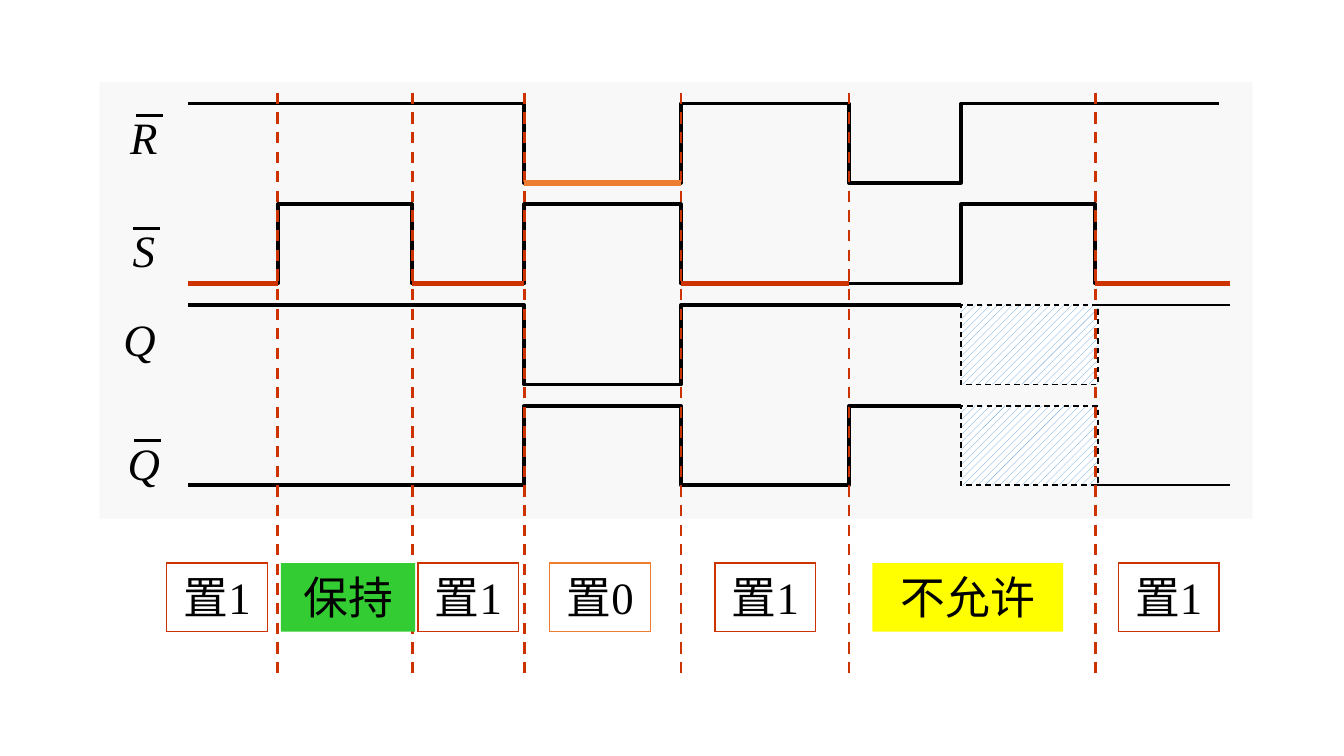
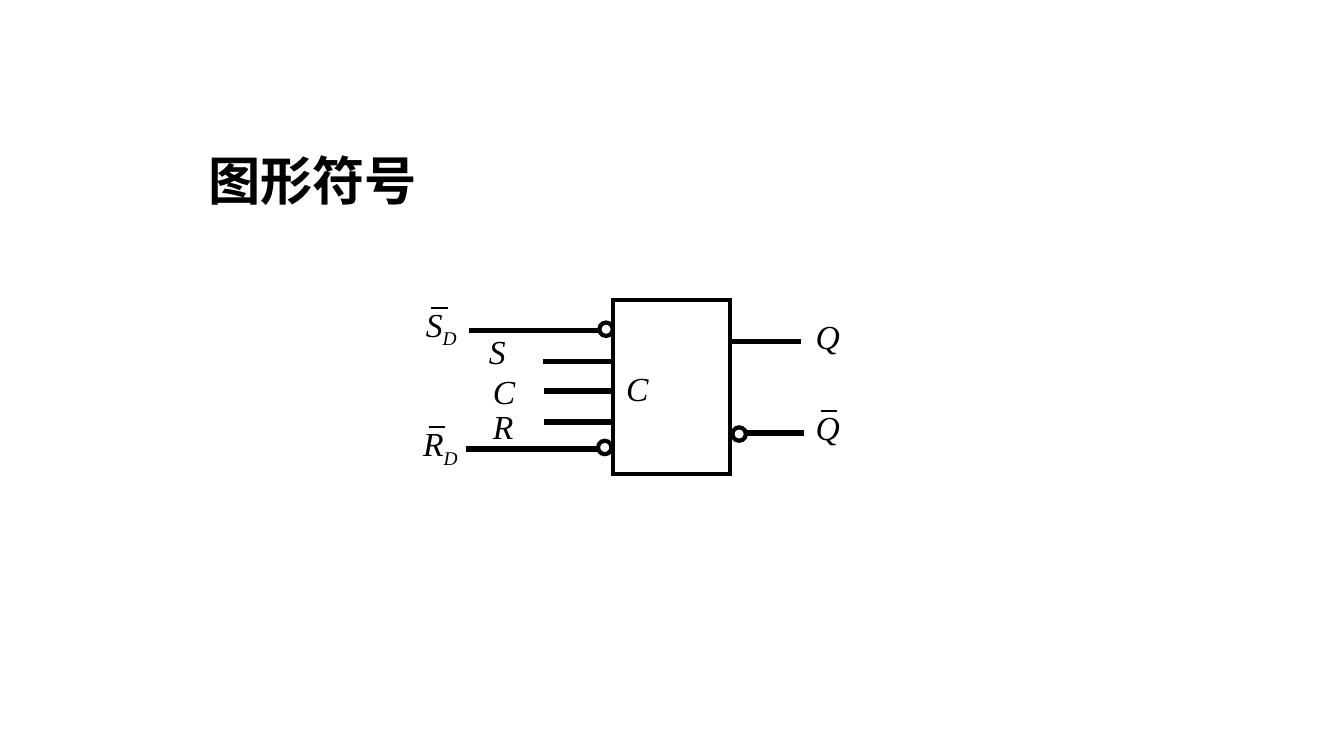
from itertools import accumulate

from lxml import etree
from pptx import Presentation
from pptx.dml.color import RGBColor
from pptx.enum.dml import MSO_LINE, MSO_PATTERN
from pptx.enum.shapes import MSO_CONNECTOR, MSO_SHAPE
from pptx.enum.text import MSO_ANCHOR, MSO_AUTO_SIZE, PP_ALIGN
from pptx.oxml.ns import qn
from pptx.util import Inches, Pt

RECT, OVAL = MSO_SHAPE.RECTANGLE, MSO_SHAPE.OVAL
STRAIGHT = MSO_CONNECTOR.STRAIGHT
DASH, HATCH = MSO_LINE.DASH, MSO_PATTERN.WIDE_UPWARD_DIAGONAL
TOP, FIXED = MSO_ANCHOR.TOP, MSO_AUTO_SIZE.NONE
LEFT, CENTER = PP_ALIGN.LEFT, PP_ALIGN.CENTER

FONT = "Times New Roman"
BLACK, WHITE, PANEL = "000000", "FFFFFF", "F8F8F8"
RED, ORANGE, BLUE = "CC3300", "ED7D31", "5B9BD5"
GREEN, YELLOW = "33CC33", "FFFF00"

# Timing grid: intervals in twelfths of an inch, equal signal rows
STEPS = [8, 12, 10, 14, 15, 10, 12, 12]
TIMES = [n / 12 for n in accumulate(STEPS, initial=0)]
ROW, SWING = 0.75, 0.59


def color(code):
    return RGBColor.from_string(code)


def pen(line, code, width, dash=None):
    line.color.rgb = color(code)
    line.width = Pt(width)
    if dash:
        line.dash_style = dash


def write(frame, text, size, align=LEFT, italic=False, bold=False, sub=""):
    frame.text = text
    frame.vertical_anchor = TOP
    para = frame.paragraphs[0]
    para.alignment = align
    if sub:
        run = para.add_run()
        run.text = sub
        run._r.get_or_add_rPr().set("baseline", "-25000")
    for run in para.runs:
        font = run.font
        font.name, font.size = FONT, Pt(size)
        font.italic, font.bold = italic, bold
        font.color.rgb = color(BLACK)


def line(shapes, x1, y1, x2, y2, code=BLACK, width=0.75, dash=None):
    wire = shapes.add_connector(STRAIGHT, *map(Inches, (x1, y1, x2, y2)))
    pen(wire.line, code, width, dash)
    etree.SubElement(wire._element.spPr, qn("a:effectLst"))


def shape(shapes, kind, box, fill=None, edge=None, width=0.75, dash=None):
    form = shapes.add_shape(kind, *map(Inches, box))
    form.shadow.inherit = False
    if fill:
        form.fill.solid()
        form.fill.fore_color.rgb = color(fill)
    else:
        form.fill.background()
    if edge:
        pen(form.line, edge, width, dash)
        # Sharp corners
        stroke = form._element.spPr.find(qn("a:ln"))
        etree.SubElement(stroke, qn("a:miter"), lim="800000")
    else:
        form.line.fill.background()
    return form


def label(shapes, box, text, size, align=LEFT, wrap=True, sub=""):
    frame = shapes.add_textbox(*map(Inches, box)).text_frame
    frame.word_wrap = wrap
    write(frame, text, size, align, italic=True, sub=sub)


def wave(shapes, left, top, bits, end=None):
    """Draw one level per interval, with an upright edge at each change."""
    points = []
    for i, bit in enumerate(bits):
        y = top if bit == "1" else top + SWING
        points += [(left + TIMES[i], y), (left + TIMES[i + 1], y)]
    if end:
        points[-1] = (end, points[-1][1])
    # Keep the ends and the corners
    points = [(Inches(p[0]), Inches(p[1])) for i, p in enumerate(points)
              if i in (0, len(points) - 1)
              or not points[i - 1][1] == p[1] == points[i + 1][1]]
    trace = shapes.build_freeform(*points[0])
    trace.add_line_segments(points[1:], close=False)
    form = trace.convert_to_shape()
    form.shadow.inherit = False
    form.fill.background()
    pen(form.line, BLACK, 2)


def signals(shapes, box):
    """Panel with four waves, their names and the unknown outputs."""
    x, y, w, h = box
    left, first = x + 0.66, y + 0.16
    shape(shapes, RECT, box, PANEL)
    rows = [  # name, levels, wave end, label offset, bar start
        ("R", "11101011", x + w - 0.25, 0, 0.27),
        ("S", "01010010", None, 0.09, 0.25),
        ("Q", "111011", None, 0, None),
        ("Q", "000101", None, 0.17, 0.26),
    ]
    for i, (name, bits, end, drop, bar) in enumerate(rows):
        top = first + i * ROW
        wave(shapes, left, top, bits, end)
        spot = (x + 0.08, top + drop, 0.5, 0.5)
        label(shapes, spot, name, 24, CENTER if bar else LEFT)
        if bar:
            over = top + drop + 0.09
            line(shapes, x + bar, over, x + bar + 0.2, over, width=1.5)

    # Unknown interval, then the settled level
    for row, level in ((2, 0), (3, SWING)):
        top = first + row * ROW
        cell = shape(shapes, RECT, (left + TIMES[6], top, 1.02, SWING),
                     WHITE, BLACK, dash=DASH)
        cell.fill.patterned()
        cell.fill.pattern = HATCH
        cell.fill.fore_color.rgb = color(BLUE)
        cell.fill.back_color.rgb = color(WHITE)
        line(shapes, left + TIMES[7], top + level,
             left + TIMES[8], top + level)


def marks(shapes, box):
    """Dashed time marks and the active low levels."""
    x, y = box[:2]
    left, first = x + 0.66, y + 0.16
    for i in (1, 2, 3, 4, 5, 7):
        at = left + TIMES[i]
        line(shapes, at, y + 0.08, at, y + 4.41, RED, 1.5, DASH)
    for row, i, code in ((1, 0, RED), (1, 2, RED), (1, 4, RED),
                         (1, 7, RED), (0, 3, ORANGE)):
        low = first + row * ROW + SWING
        line(shapes, left + TIMES[i], low, left + TIMES[i + 1], low, code, 3)


def states(shapes, box):
    """Name of the state under each interval."""
    x, y, _, h = box
    tags = [  # text, offset, width, fill, edge
        ("置1", 0, 0.75, None, RED),
        ("置0", 2.85, 0.75, None, ORANGE),
        ("置1", 1.87, 0.75, None, RED),
        ("置1", 4.08, 0.75, None, RED),
        ("置1", 7.08, 0.75, None, RED),
        ("保持", 0.85, 1, GREEN, None),
        ("不允许", 5.25, 1.42, YELLOW, None),
    ]
    for text, dx, width, fill, edge in tags:
        tag = shape(shapes, RECT, (x + dx, y, width, h), fill, edge)
        write(tag.text_frame, text, 24, CENTER)


def symbol(shapes, box):
    """Flip-flop block with its pins, bubbles and names."""
    x, y, w, h = box
    shape(shapes, RECT, box, edge=BLACK, width=2.25)

    # Pins, as offsets from the block's corner
    pins = [(-1.07, -0.09, 0.23), (-1.09, -0.11, 1.11),
            (-0.52, 0, 0.46), (-0.51, 0, 0.68), (-0.51, 0.01, 0.91),
            (w + 0.02, w + 0.53, 0.31), (w + 0.11, w + 0.55, 0.99)]
    for start, end, dy in pins:
        line(shapes, x + start, y + dy, x + end, y + dy, width=3)
    for dx, dy in ((-0.11, 1.05), (-0.1, 0.17), (w + 0.02, 0.95)):
        shape(shapes, OVAL, (x + dx, y + dy, 0.1, 0.1),
              edge=BLACK, width=2.25)

    # Names; a bar marks an active-low signal
    names = [  # text, subscript, dx, dy, width, bar
        ("Q", "", w + 0.54, 0.07, 0.38, False),
        ("Q", "", w + 0.54, 0.75, 0.38, True),
        ("S", "D", -1.49, -0.02, 0.45, True),
        ("R", "D", -1.51, 0.87, 0.48, True),
        ("S", "", -1.02, 0.18, 0.33, False),
        ("C", "", -0.99, 0.48, 0.37, False),
        ("R", "", -0.99, 0.74, 0.36, False),
        ("C", "", 0, 0.46, 0.37, False),
    ]
    for text, sub, dx, dy, width, bar in names:
        left, top = x + dx, y + dy
        label(shapes, (left, top, width, 0.4), text, 18, wrap=False, sub=sub)
        if bar:
            line(shapes, left + 0.14, top + 0.08,
                 left + 0.26, top + 0.08, width=1)


def title(slide, text, box):
    head = slide.shapes.title
    head.left, head.top, head.width, head.height = map(Inches, box)
    write(head.text_frame, text, 28, bold=True)
    head.text_frame.auto_size = FIXED


def main():
    deck = Presentation()
    deck.slide_width = Inches(10)
    deck.slide_height = deck.slide_width * 9 // 16
    blank, titled = deck.slide_layouts[6], deck.slide_layouts[5]

    # Timing diagram
    shapes = deck.slides.add_slide(blank).shapes
    panel = (0.74, 0.61, 8.58, 3.25)
    signals(shapes.add_group_shape().shapes, panel)
    marks(shapes, panel)
    states(shapes, (1.24, 4.19, 7.83, 0.51))

    # Graphic symbol
    slide = deck.slides.add_slide(titled)
    title(slide, "图形符号", (1.45, 1.05, 2.18, 0.57))
    symbol(slide.shapes.add_group_shape().shapes, (4.56, 2.23, 0.87, 1.3))

    deck.save("out.pptx")


if __name__ == "__main__":
    main()
